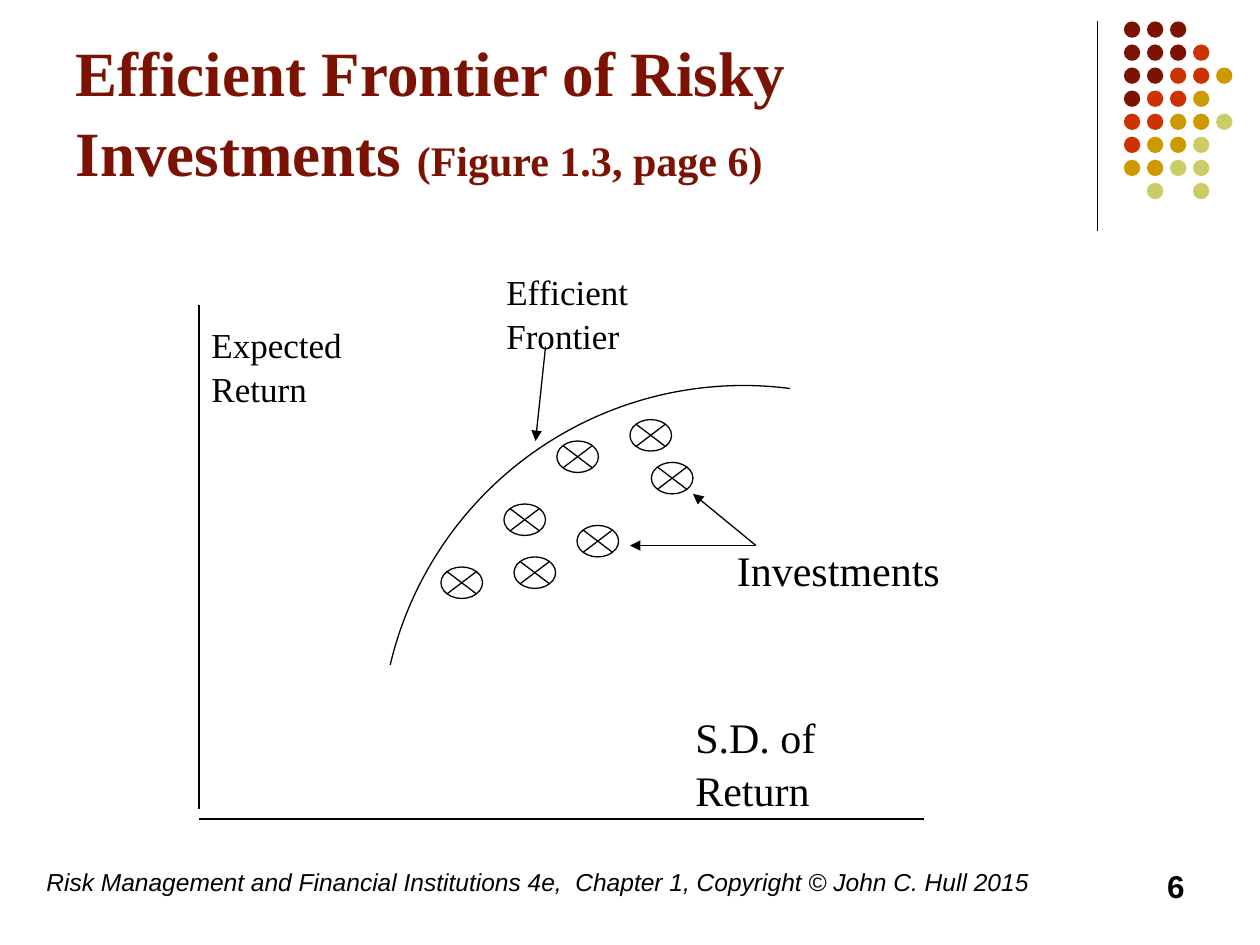
from lxml.etree import SubElement
from pptx import Presentation
from pptx.dml.color import RGBColor
from pptx.enum.shapes import MSO_CONNECTOR, MSO_SHAPE
from pptx.enum.text import MSO_ANCHOR, MSO_AUTO_SIZE, PP_ALIGN
from pptx.oxml.ns import qn
from pptx.util import Inches, Pt

THEME = {
    "ink": RGBColor.from_string("000000"),
    "paper": RGBColor.from_string("FFFFFF"),
    "title": RGBColor.from_string("7C1302"),
    "dots": {
        "m": RGBColor.from_string("7C1302"),
        "r": RGBColor.from_string("CC3300"),
        "g": RGBColor.from_string("CC9900"),
        "k": RGBColor.from_string("CCCC66"),
    },
    "line": Pt(0.75),
    "heading": {"name": "Times New Roman", "size": Pt(36), "bold": True},
    "reference": {"name": "Times New Roman", "size": Pt(24), "bold": True},
    "small label": {"name": "Times New Roman", "size": Pt(20)},
    "large label": {"name": "Times New Roman", "size": Pt(24)},
    "footer": {"name": "Arial", "size": Pt(14), "italic": True},
    "number": {"name": "Arial", "size": Pt(18), "bold": True},
}


def add_run(paragraph, text, style, color):
    run = paragraph.add_run()
    run.text = text
    for attribute, value in THEME[style].items():
        setattr(run.font, attribute, value)
    run.font.color.rgb = color


def add_line(start, end, arrow=False):
    line = slide.shapes.add_connector(
        MSO_CONNECTOR.STRAIGHT, *(Inches(v) for v in (*start, *end)))
    line.line.color.rgb = THEME["ink"]
    line.line.width = THEME["line"]
    if arrow:
        SubElement(line.line._get_or_add_ln(), qn("a:tailEnd"), type="triangle")
    SubElement(line._element.spPr, qn("a:effectLst"))


prs = Presentation()
prs.slide_width, prs.slide_height = Inches(10), Inches(7.5)
slide = prs.slides.add_slide(prs.slide_layouts[5])

add_line((8.71, 0.17), (8.71, 1.83))
dot_rows = ["mmm", "mmmr", "mmrrg", "mrrg", "rrggk", "rggk", "ggkk", " k k"]
dot_pitch = 0.183
for row, codes in enumerate(dot_rows):
    for column, code in enumerate(codes):
        if code == " ":
            continue
        dot = slide.shapes.add_shape(
            MSO_SHAPE.OVAL, Inches(8.92 + column * dot_pitch),
            Inches(0.17 + row * dot_pitch), Inches(0.13), Inches(0.13))
        dot.shadow.inherit = False
        dot.fill.solid()
        dot.fill.fore_color.rgb = THEME["dots"][code]
        dot.line.fill.background()

title = slide.shapes.title
title_place = {"left": 0.5, "top": 0.13, "width": 8.25, "height": 1.42}
for attribute, value in title_place.items():
    setattr(title, attribute, Inches(value))
title_format = {"word_wrap": True, "auto_size": MSO_AUTO_SIZE.NONE,
                "vertical_anchor": MSO_ANCHOR.BOTTOM}
for attribute, value in title_format.items():
    setattr(title.text_frame, attribute, value)
heading = title.text_frame.paragraphs[0]
heading.alignment = PP_ALIGN.LEFT
heading.line_spacing = 1.05
add_run(heading, "Efficient Frontier of Risky Investments ", "heading", THEME["title"])
add_run(heading, "(Figure 1.3, page 6)", "reference", THEME["title"])

add_line((1.58, 2.42), (1.58, 6.42))
add_line((1.58, 6.5), (7.33, 6.5))

center_x, center_y, radius = 5.9, 5.94, 2.88
frontier = slide.shapes.add_shape(
    MSO_SHAPE.ARC, Inches(center_x - radius), Inches(center_y - radius),
    Inches(2 * radius), Inches(2 * radius))
for index, degrees in enumerate((193.3, 277.4)):
    frontier.adjustments[index] = degrees * 0.6
frontier.shadow.inherit = False
frontier.fill.background()
frontier.line.color.rgb = THEME["ink"]
frontier.line.width = THEME["line"]

investments = [(3.5, 4.5), (4, 4), (4.08, 4.42), (4.42, 3.5),
               (4.58, 4.17), (5, 3.33), (5.17, 3.67)]
for left, top in investments:
    investment = slide.shapes.add_shape(
        MSO_SHAPE.FLOWCHART_SUMMING_JUNCTION,
        Inches(left), Inches(top), Inches(0.33), Inches(0.25))
    investment.shadow.inherit = False
    investment.fill.solid()
    investment.fill.fore_color.rgb = THEME["paper"]
    investment.line.color.rgb = THEME["ink"]
    investment.line.width = Pt(0)

labels = [
    ("Efficient Frontier", (3.92, 2.08, 1.92, 0.77), "small label", PP_ALIGN.LEFT, 1.05),
    ("Expected Return", (1.58, 2.5, 1.58, 0.77), "small label", PP_ALIGN.LEFT, 1.05),
    ("S.D. of Return", (5.42, 5.58, 2.08, 0.9), "large label", PP_ALIGN.LEFT, 1.05),
    ("Investments", (5.75, 4.25, 2.25, 0.5), "large label", PP_ALIGN.LEFT, 1.05),
    ("Risk Management and Financial Institutions 4e,  Chapter 1, Copyright © John C. Hull 2015",
     (0.27, 6.83, 8.27, 0.5), "footer", PP_ALIGN.LEFT, 1),
    ("6", (7.17, 6.83, 2.33, 0.5), "number", PP_ALIGN.RIGHT, 1),
]
for text, place, style, alignment, spacing in labels:
    label = slide.shapes.add_textbox(*(Inches(v) for v in place))
    label.text_frame.word_wrap = True
    paragraph = label.text_frame.paragraphs[0]
    paragraph.alignment = alignment
    paragraph.line_spacing = spacing
    add_run(paragraph, text, style, THEME["ink"])

for target in ((5.5, 3.92), (5, 4.33)):
    add_line((6, 4.33), target, arrow=True)
add_line((4.33, 2.75), (4.25, 3.5), arrow=True)

prs.save("out.pptx")
